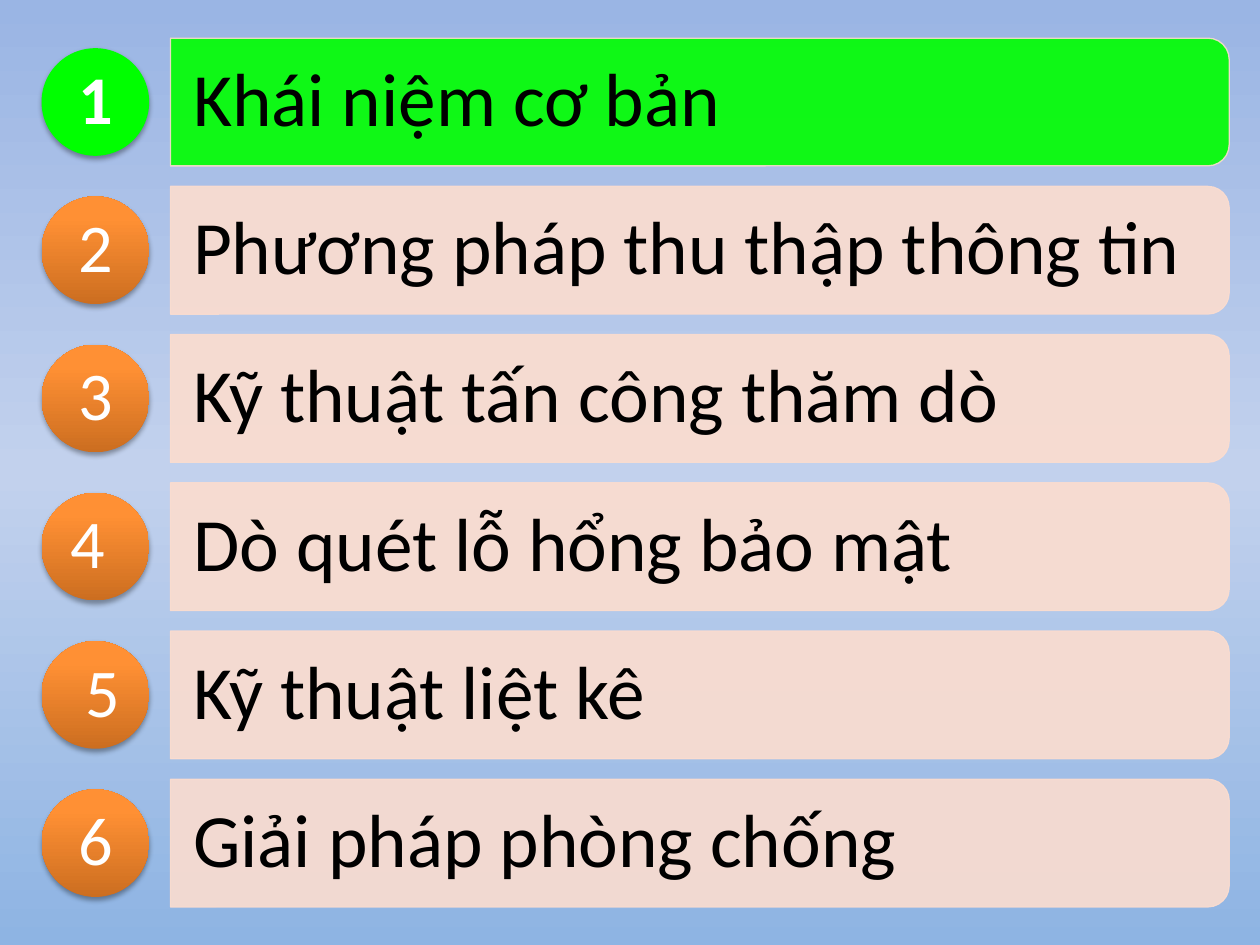
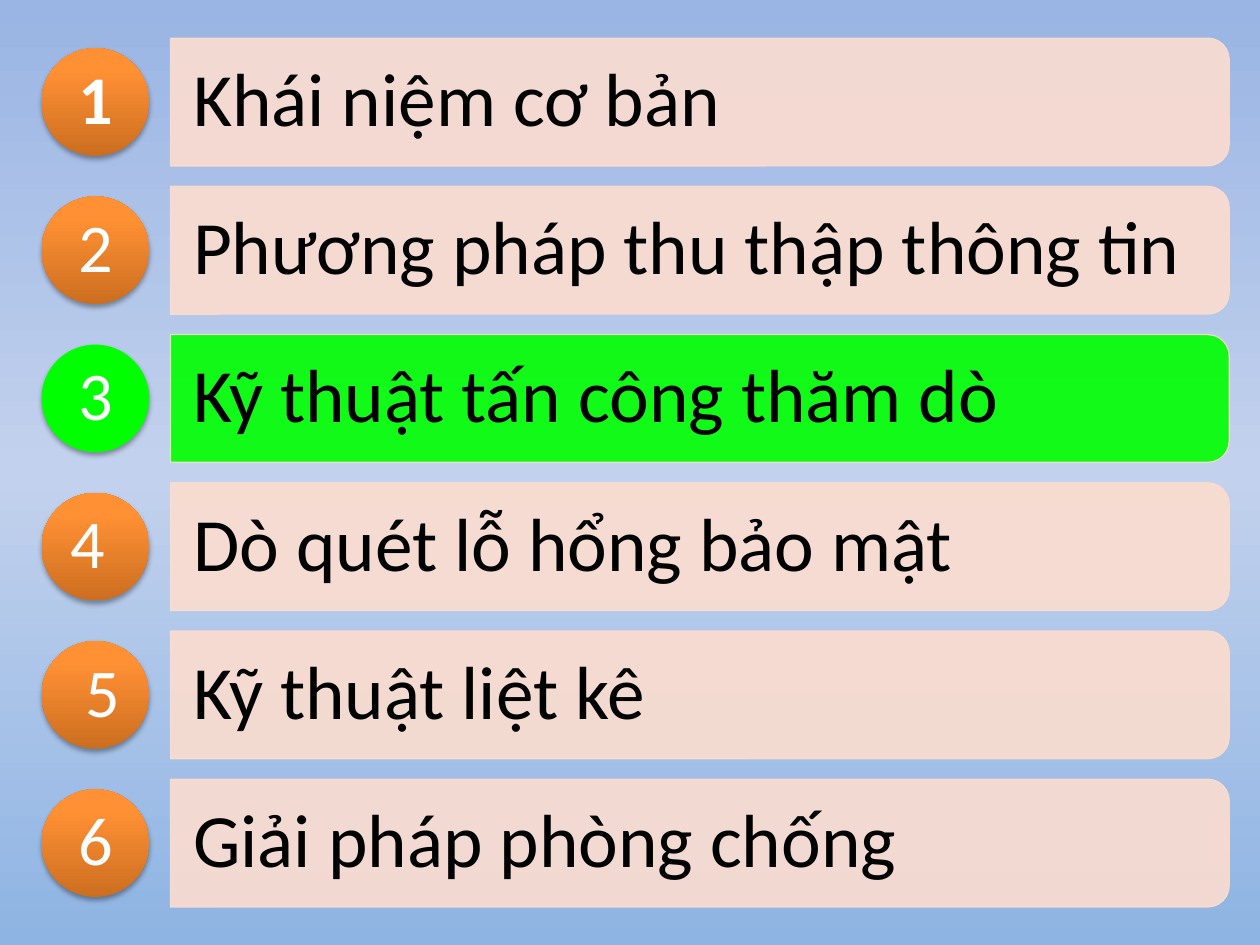
from dataclasses import dataclass

from pptx import Presentation
from pptx.dml.color import RGBColor
from pptx.enum.shapes import MSO_SHAPE as Kind
from pptx.enum.text import MSO_ANCHOR as Anchor, PP_ALIGN as Align
from pptx.oxml import parse_xml
from pptx.oxml.ns import nsdecls
from pptx.util import Pt

FONT = "Calibri"
GREEN, PINK, BLACK, WHITE = "00FF00", "FCDDCF", "000000", "FFFFFF"
SKY = [(0, "9AB5E4"), (50, "C2D1ED"), (100, "8EB4E3")]
ORANGE = [(0, "CC6E20"), (80, "FF9034"), (100, "FF9136")]

TOP, PITCH = 58.3, 84.7  # centre of the first row, step to the next
BAR_X, BAR_W, BAR_H = 97.4, 605, 73
LABEL_W, LABEL_H = 601, 65.5
DISC_X, DISC = 54.5, 61.5


@dataclass(frozen=True)
class Topic:
    num: str
    name: str
    bold: bool = False


TOPICS = [
    Topic("1", "Khái niệm cơ bản", bold=True),
    Topic("2", "Phương pháp thu thập thông tin"),
    Topic("3", "Kỹ thuật tấn công thăm dò"),
    Topic("4 ", "Dò quét lỗ hổng bảo mật"),
    Topic(" 5", "Kỹ thuật liệt kê"),
    Topic("6", "Giải pháp phòng chống"),
]
ACTIVE = [0, 2]  # highlighted topic on each slide


def paint(color, code: str) -> None:
    color.rgb = RGBColor.from_string(code)


def fill_flat(fill, code: str) -> None:
    fill.solid()
    paint(fill.fore_color, code)


def fade(owner, stops: list, angle: int) -> None:
    """Swap the solid fill of a shape or background for a gradient."""
    marks = "".join(
        f'<a:gs pos="{pos * 1000}"><a:srgbClr val="{code}"/></a:gs>' for pos, code in stops
    )
    grad = parse_xml(
        f'<a:gradFill {nsdecls("a")} rotWithShape="1"><a:gsLst>{marks}</a:gsLst>'
        f'<a:lin ang="{angle * 60000}" scaled="0"/></a:gradFill>'
    )
    old = owner.xpath("./a:solidFill")[0]
    owner.replace(old, grad)


def cast(shape) -> None:
    """Give a shape a soft shadow below it."""
    shape.shadow.inherit = False
    shape.element.spPr.xpath("./a:effectLst")[0].append(parse_xml(
        f'<a:outerShdw {nsdecls("a")} blurRad="{Pt(3.1)}" dist="{Pt(1.8)}" dir="5400000" '
        'rotWithShape="0"><a:srgbClr val="000000"><a:alpha val="35000"/></a:srgbClr></a:outerShdw>'
    ))


def write(shape, text: str, *, size: float, color: str, bold: bool = False,
          align=Align.LEFT, inset: tuple = (0, 0)) -> None:
    frame = shape.text_frame
    frame.word_wrap = True
    frame.vertical_anchor = Anchor.MIDDLE
    frame.margin_left = frame.margin_right = Pt(inset[0])
    frame.margin_top = frame.margin_bottom = Pt(inset[1])
    para = frame.paragraphs[0]
    para.alignment = align
    para.line_spacing = 0.9
    run = para.add_run()
    run.text = text
    run.font.name = FONT
    run.font.size = Pt(size)
    run.font.bold = bold
    paint(run.font.color, color)


def add_bar(slide, mid: float, code: str) -> None:
    """Draw a bar whose two rounded corners face right."""
    left = BAR_X + (BAR_W - BAR_H) / 2
    bar = slide.shapes.add_shape(
        Kind.ROUND_2_SAME_RECTANGLE, Pt(left), Pt(mid - BAR_W / 2), Pt(BAR_H), Pt(BAR_W)
    )
    bar.rotation = 90
    bar.shadow.inherit = False
    fill_flat(bar.fill, code)
    paint(bar.line.color, PINK)
    bar.line.width = Pt(0.75)
    for tone in bar.element.spPr.xpath(".//a:srgbClr"):
        tone.append(parse_xml(f'<a:alpha {nsdecls("a")} val="90000"/>'))


def add_disc(slide, mid: float, topic: Topic, active: bool) -> None:
    disc = slide.shapes.add_shape(
        Kind.OVAL, Pt(DISC_X - DISC / 2), Pt(mid - DISC / 2), Pt(DISC), Pt(DISC)
    )
    fill_flat(disc.fill, GREEN)
    if not active:
        fade(disc.element.spPr, ORANGE, 270)
    disc.line.fill.background()
    cast(disc)
    write(disc, topic.num, size=39, color=WHITE, bold=topic.bold, align=Align.CENTER)


def add_row(slide, row: int, topic: Topic, active: bool) -> None:
    mid = TOP + row * PITCH
    add_bar(slide, mid, GREEN if active else PINK)
    label = slide.shapes.add_textbox(
        Pt(BAR_X), Pt(mid - LABEL_H / 2), Pt(LABEL_W), Pt(LABEL_H)
    )
    write(label, topic.name, size=43, color=BLACK, inset=(13, 8.6))
    add_disc(slide, mid, topic, active)


def main() -> None:
    deck = Presentation()
    deck.slide_width, deck.slide_height = Pt(720), Pt(540)
    master = deck.slide_master
    fill_flat(master.background.fill, WHITE)
    fade(master.element.xpath(".//p:bgPr")[0], SKY, 90)
    for active in ACTIVE:
        slide = deck.slides.add_slide(deck.slide_layouts[6])
        for row, topic in enumerate(TOPICS):
            add_row(slide, row, topic, row == active)
    deck.save("out.pptx")


if __name__ == "__main__":
    main()
